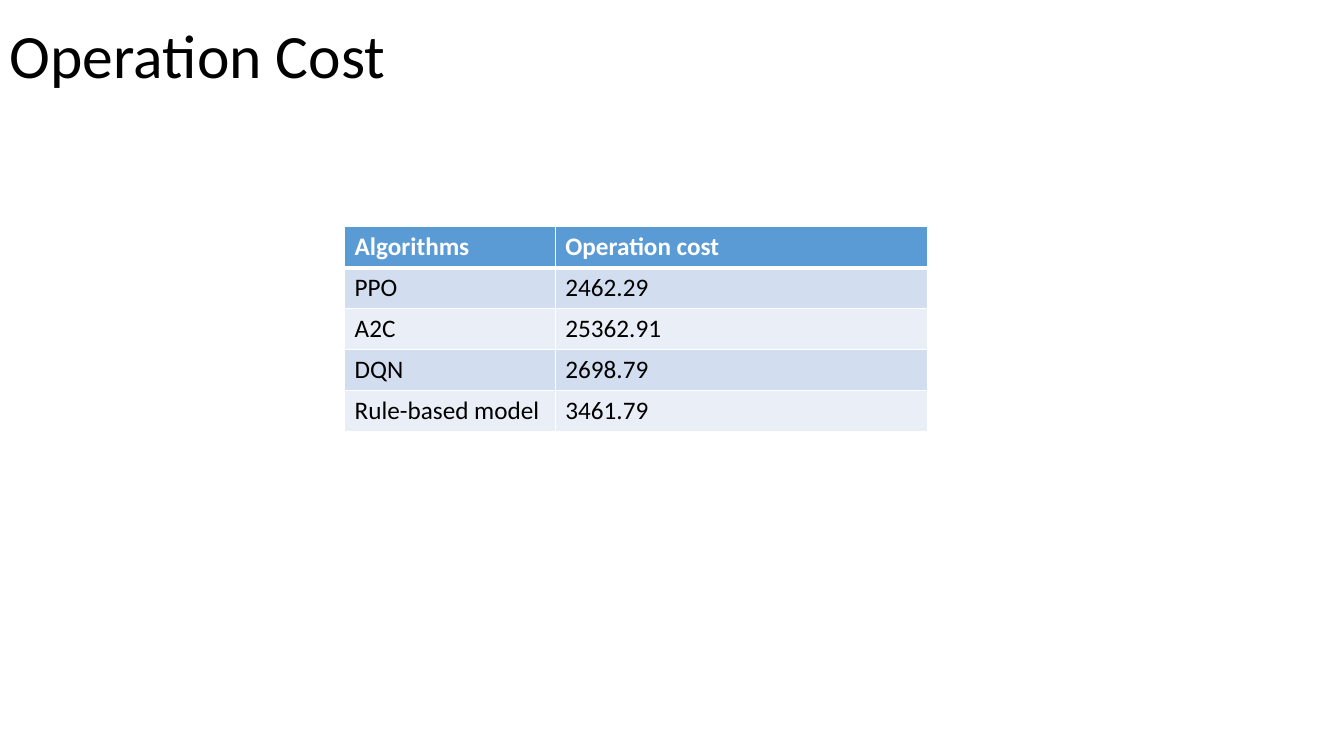
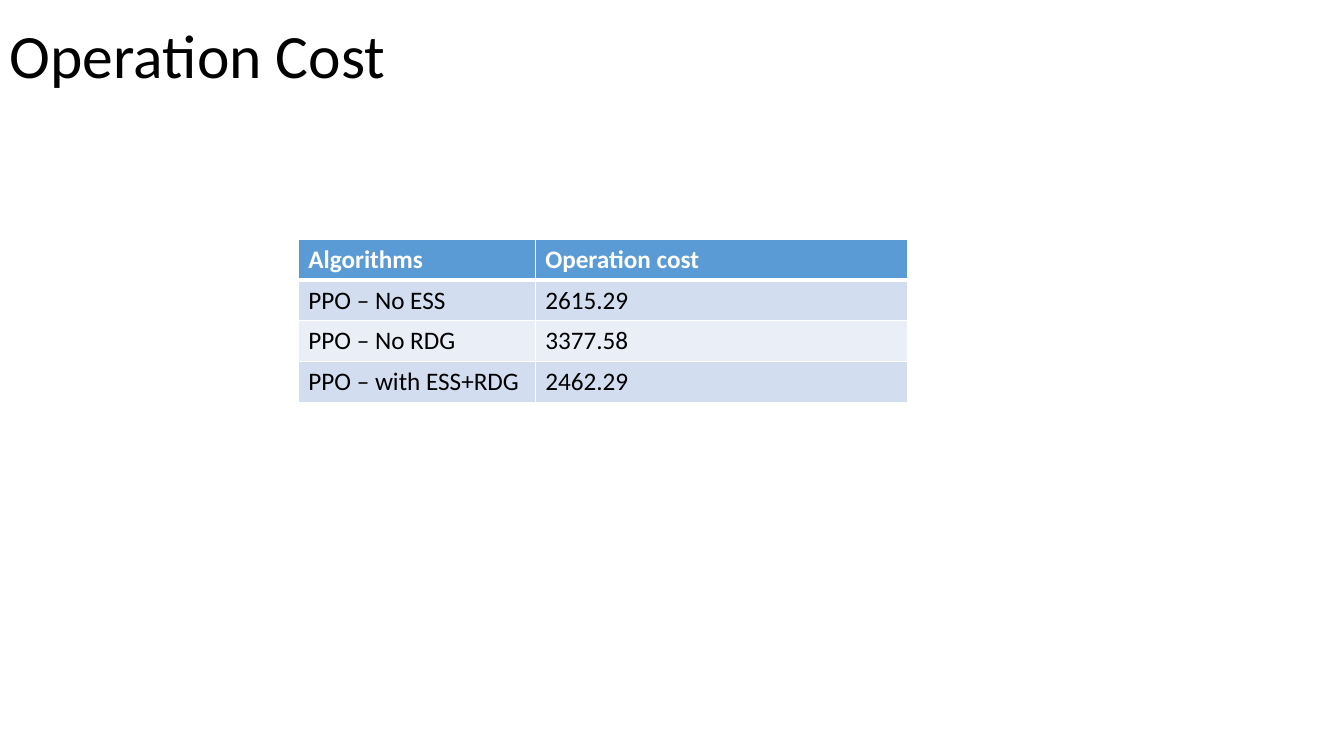
from dataclasses import dataclass

from lxml.etree import SubElement
from pptx import Presentation
from pptx.dml.color import RGBColor
from pptx.enum.text import MSO_ANCHOR
from pptx.oxml.ns import qn
from pptx.slide import Slide
from pptx.table import _Cell
from pptx.text.text import _Paragraph
from pptx.util import Pt

COLORS = {
    "text": "000000",
    "header": "5B9BD5",
    "header_text": "FFFFFF",
    "odd_row": "D2DEEF",
    "even_row": "EAEFF7",
    "grid": "FFFFFF",
}
FONT = "Calibri"
TITLE = "Operation Cost"
HEADINGS = ("Algorithms", "Operation cost")
ROW_HEIGHT = 29.2
COST_WIDTH = 265.7
GRID_WIDTH = 1
HEADER_RULE_WIDTH = 3


@dataclass(frozen=True)
class CostTable:
    left: float
    top: float
    algorithm_width: float
    costs: tuple[tuple[str, str], ...]


COST_TABLES = (
    CostTable(246.2, 162, 150.5, (
        ("PPO", "2462.29"),
        ("A2C", "25362.91"),
        ("DQN", "2698.79"),
        ("Rule-based model", "3461.79"),
    )),
    CostTable(213.1, 170.8, 169.2, (
        ("PPO – No ESS", "2615.29"),
        ("PPO – No RDG", "3377.58"),
        ("PPO – with ESS+RDG", "2462.29"),
    )),
)


def format_text(paragraph: _Paragraph, size: float, color: str, bold: bool = False) -> None:
    for run in paragraph.runs:
        run.font.name = FONT
        run.font.size = Pt(size)
        run.font.bold = bold
        run.font.color.rgb = RGBColor.from_string(COLORS[color])


def add_title(slide: Slide) -> None:
    title = slide.shapes.add_textbox(Pt(0), Pt(2.9), Pt(828), Pt(66.2))
    frame = title.text_frame
    frame.word_wrap = True
    frame.vertical_anchor = MSO_ANCHOR.BOTTOM
    frame.text = TITLE
    heading = frame.paragraphs[0]
    heading.line_spacing = 0.9
    format_text(heading, 44, "text")


def set_borders(cell: _Cell, top: float, bottom: float) -> None:
    properties = cell._tc.get_or_add_tcPr()
    widths = {"a:lnL": GRID_WIDTH, "a:lnR": GRID_WIDTH, "a:lnT": top, "a:lnB": bottom}
    for tag, width in widths.items():
        line = SubElement(properties, qn(tag), w=str(Pt(width)))
        fill = SubElement(line, qn("a:solidFill"))
        SubElement(fill, qn("a:srgbClr"), val=COLORS["grid"])


def style_cell(cell: _Cell, row: int) -> None:
    is_header = row == 0
    set_borders(
        cell,
        top=HEADER_RULE_WIDTH if row == 1 else GRID_WIDTH,
        bottom=HEADER_RULE_WIDTH if is_header else GRID_WIDTH,
    )
    band = "header" if is_header else "odd_row" if row % 2 else "even_row"
    cell.fill.solid()
    cell.fill.fore_color.rgb = RGBColor.from_string(COLORS[band])
    format_text(
        cell.text_frame.paragraphs[0], 18, "header_text" if is_header else "text", is_header
    )


def add_cost_table(slide: Slide, content: CostTable) -> None:
    rows = (HEADINGS, *content.costs)
    widths = (content.algorithm_width, COST_WIDTH)
    table = slide.shapes.add_table(
        len(rows), len(widths), Pt(content.left), Pt(content.top),
        Pt(sum(widths)), Pt(ROW_HEIGHT * len(rows)),
    ).table
    for column, width in zip(table.columns, widths):
        column.width = Pt(width)
    for row, values in enumerate(rows):
        table.rows[row].height = Pt(ROW_HEIGHT)
        for column, value in enumerate(values):
            cell = table.cell(row, column)
            cell.text_frame.text = value
            style_cell(cell, row)


def main() -> None:
    presentation = Presentation()
    presentation.slide_width = Pt(960)
    presentation.slide_height = Pt(540)
    blank = presentation.slide_layouts[6]
    for cost_table in COST_TABLES:
        slide = presentation.slides.add_slide(blank)
        add_title(slide)
        add_cost_table(slide, cost_table)
    presentation.save("out.pptx")


if __name__ == "__main__":
    main()
